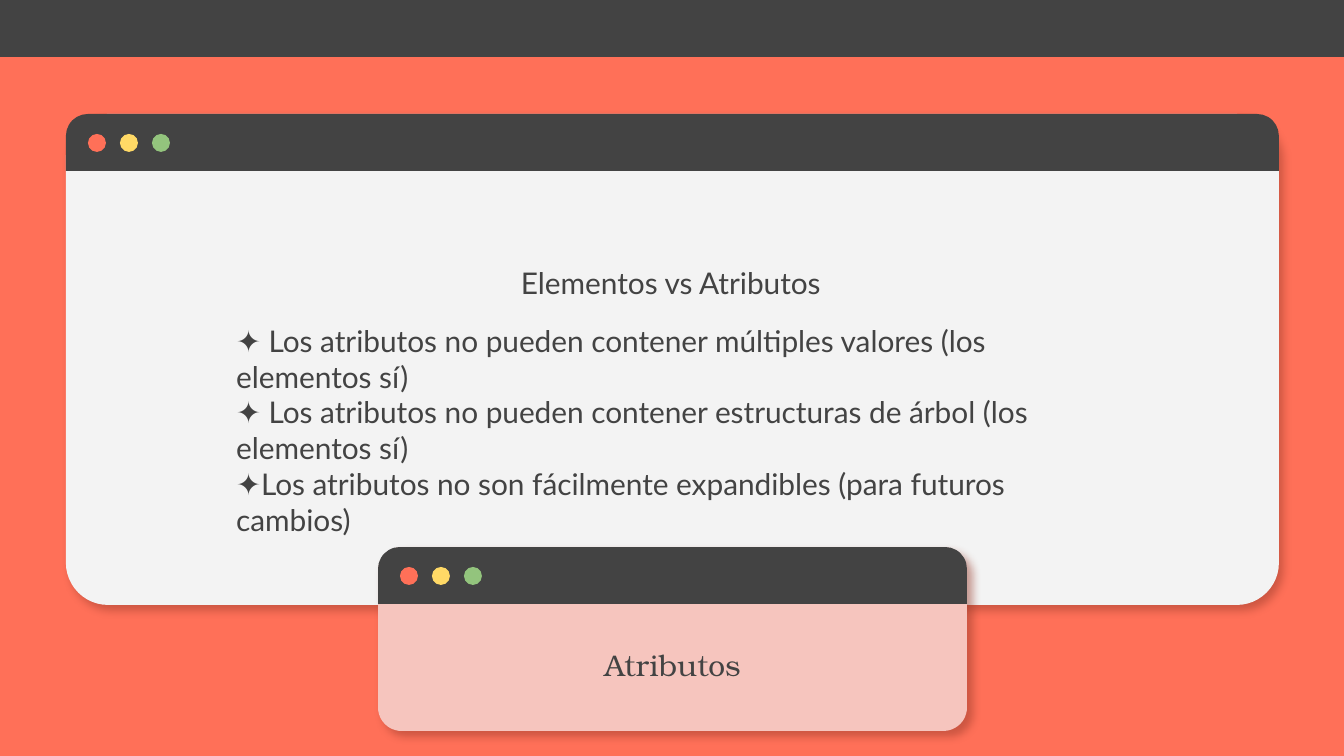
"""Build a slide with two browser-style windows on XML elements versus attributes."""

from dataclasses import dataclass

import lxml.etree
import pptx
import pptx.dml.color
import pptx.enum.shapes
import pptx.enum.text
import pptx.oxml.ns
import pptx.shapes.autoshape
import pptx.util

SHAPE = pptx.enum.shapes.MSO_SHAPE
ALIGN = pptx.enum.text.PP_ALIGN
ANCHOR = pptx.enum.text.MSO_ANCHOR
EMU_PER_PX = 914400 / 134.4


@dataclass(frozen=True)
class Theme:
    background: str = "FF7058"
    dark: str = "434343"
    paper: str = "F3F3F3"
    blush: str = "F6C5BE"
    shadow: str = "963A2A"
    buttons: tuple[str, ...] = ("FF7058", "FFD966", "93C47D")
    body_font: str = "Lato"
    title_font: str = "TeX Gyre Bonum"
    text_size: int = 16


@dataclass(frozen=True)
class Box:
    left: int
    top: int
    width: int
    height: int

    def emu(self) -> list[int]:
        return [px(n) for n in (self.left, self.top, self.width, self.height)]


@dataclass(frozen=True)
class Window:
    box: Box
    fill: str
    rounding: float


@dataclass(frozen=True)
class Caption:
    box: Box
    lines: tuple[str, ...]
    font: str
    align: ALIGN
    anchor: ANCHOR = ANCHOR.TOP


THEME = Theme()
BAR_HEIGHT = 57
BUTTON_SIZE, BUTTON_PITCH, BUTTON_LEFT, BUTTON_TOP = 18, 32, 22, 20

HEADER_BARS = (Box(0, 0, 1344, BAR_HEIGHT), Box(1137, 0, 207, BAR_HEIGHT))
WINDOWS = (
    Window(Box(66, 114, 1213, 491), THEME.paper, 0.086),
    Window(Box(378, 547, 589, 184), THEME.blush, 0.128),
)
CAPTIONS = (
    Caption(Box(474, 632, 397, 64), ("Atributos",),
            THEME.title_font, ALIGN.CENTER, ANCHOR.BOTTOM),
    Caption(Box(505, 251, 332, 98), ("Elementos vs Atributos",),
            THEME.body_font, ALIGN.CENTER),
    Caption(Box(223, 309, 898, 138), (
        "✦ Los atributos no pueden contener múltiples valores (los elementos sí)",
        "✦ Los atributos no pueden contener estructuras de árbol (los elementos sí)",
        "✦Los atributos no son fácilmente expandibles (para futuros cambios)",
    ), THEME.body_font, ALIGN.LEFT),
)


def px(length: int) -> int:
    """Convert whole pixels to EMU."""
    return round(length * EMU_PER_PX)


def rgb(color: str) -> pptx.dml.color.RGBColor:
    """Read a hexadecimal colour."""
    return pptx.dml.color.RGBColor.from_string(color)


def draw_shape(shapes, kind: SHAPE, box: Box, fill: str,
               *rounding: float) -> pptx.shapes.autoshape.Shape:
    """Draw a flat filled shape without outline."""
    shape = shapes.add_shape(kind, *box.emu())
    shape.shadow.inherit = False
    shape.fill.solid()
    shape.fill.fore_color.rgb = rgb(fill)
    shape.line.fill.background()
    for index, value in enumerate(rounding):
        shape.adjustments[index] = value
    return shape


def cast_shadow(shape: pptx.shapes.autoshape.Shape) -> None:
    """Give a shape a soft shadow to the lower right."""
    qn = pptx.oxml.ns.qn
    effects = shape.element.spPr.find(qn("a:effectLst"))
    shadow = lxml.etree.SubElement(
        effects, qn("a:outerShdw"), blurRad=str(pptx.util.Pt(4.5)),
        dist=str(pptx.util.Pt(3.8)), dir=str(49 * 60000),
        algn="bl", rotWithShape="0")
    color = lxml.etree.SubElement(shadow, qn("a:srgbClr"), val=THEME.shadow)
    lxml.etree.SubElement(color, qn("a:alpha"), val="47000")


def draw_window(slide, window: Window) -> None:
    """Draw a window with its title bar and three buttons as one group."""
    parts = slide.shapes.add_group_shape().shapes
    box = window.box
    cast_shadow(draw_shape(parts, SHAPE.ROUNDED_RECTANGLE, box,
                           window.fill, window.rounding))
    draw_shape(parts, SHAPE.ROUND_2_SAME_RECTANGLE,
               Box(box.left, box.top, box.width, BAR_HEIGHT), THEME.dark, 0.383, 0)
    for index, color in enumerate(THEME.buttons):
        draw_shape(parts, SHAPE.OVAL,
                   Box(box.left + BUTTON_LEFT + index * BUTTON_PITCH,
                       box.top + BUTTON_TOP, BUTTON_SIZE, BUTTON_SIZE), color)


def write_caption(slide, caption: Caption) -> None:
    """Write a wrapped text box, one paragraph per line."""
    frame = slide.shapes.add_textbox(*caption.box.emu()).text_frame
    frame.word_wrap = True
    frame.vertical_anchor = caption.anchor
    frame.margin_left = frame.margin_right = pptx.util.Inches(0.1)
    frame.margin_top = frame.margin_bottom = pptx.util.Inches(0.1)
    frame.text = "\n".join(caption.lines)
    for paragraph in frame.paragraphs:
        paragraph.alignment = caption.align
        paragraph.font.name = caption.font
        paragraph.font.size = pptx.util.Pt(THEME.text_size)
        paragraph.font.color.rgb = rgb(THEME.dark)


def main() -> None:
    """Assemble and save the slide."""
    deck = pptx.Presentation()
    deck.slide_width, deck.slide_height = px(1344), px(756)
    slide = deck.slides.add_slide(deck.slide_layouts[6])
    slide.background.fill.solid()
    slide.background.fill.fore_color.rgb = rgb(THEME.background)
    for window in WINDOWS:
        draw_window(slide, window)
    for bar in HEADER_BARS:
        draw_shape(slide.shapes, SHAPE.RECTANGLE, bar, THEME.dark)
    for caption in CAPTIONS:
        write_caption(slide, caption)
    deck.save("out.pptx")


if __name__ == "__main__":
    main()
